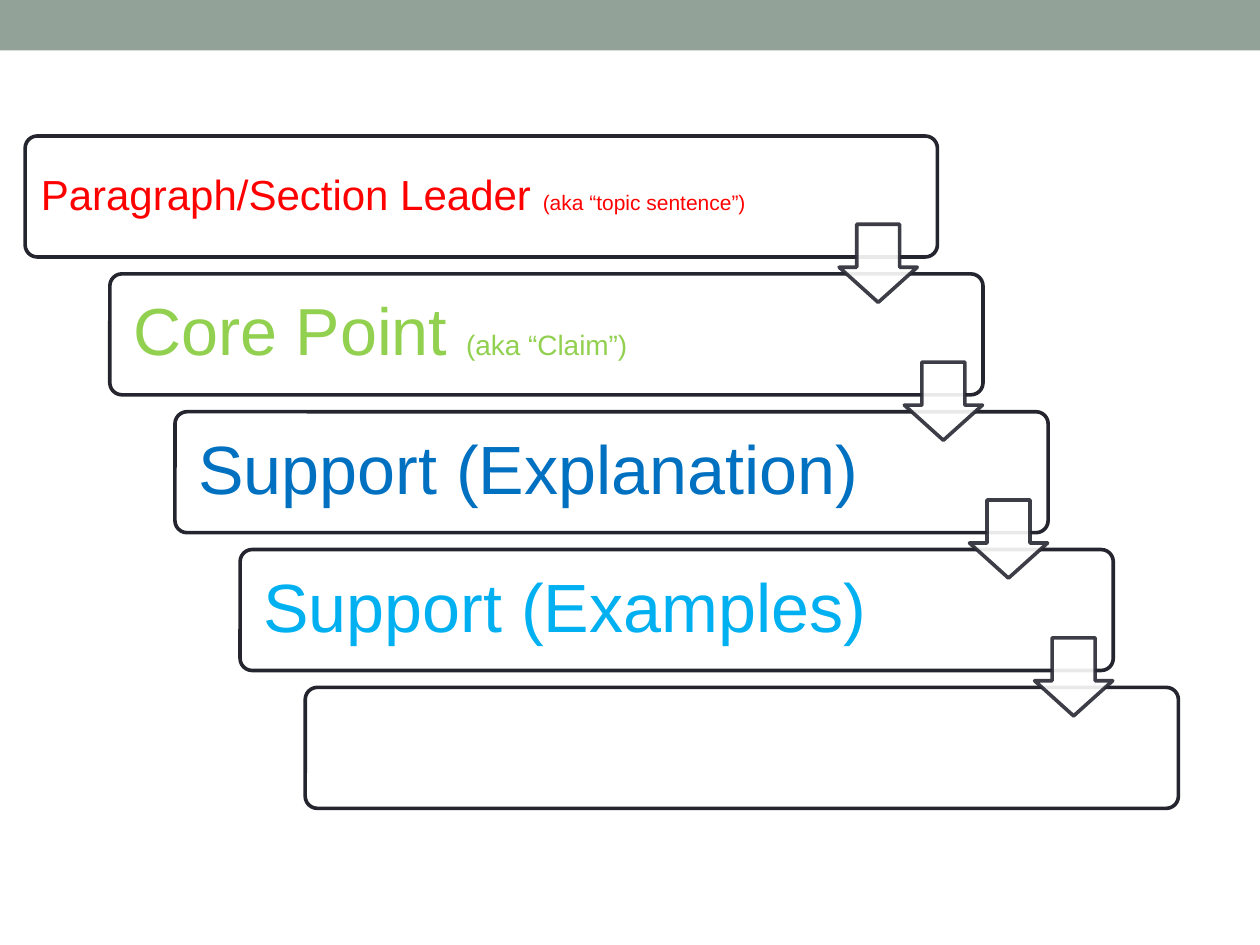
import pptx
import pptx.dml.color
import pptx.enum.shapes
import pptx.enum.text
import pptx.oxml
import pptx.util
from lxml import etree

COLORS = {
    "band": "93A299",
    "white": "FFFFFF",
    "outline": "25252F",
    "arrow": "292934",
    "leader": "FF0000",
    "core": "92D050",
    "explanation": "0070C0",
    "examples": "00B0F0",
}
COLUMNS, ROWS = 100, 75
STEP_X, STEP_Y = 5.17, 10.94
FIRST_TOP = 10.8
BOX_HEIGHT = 9.6
ARROW_SIZE = 6.2
SHAPES = pptx.enum.shapes.MSO_SHAPE

STEPS = [
    ("leader", 1, [("Paragraph/Section Leader ", 24), ("(aka “topic sentence”)", 12)]),
    ("core", 1.6, [("Core Point ", 38), ("(aka “Claim”)", 16)]),
    ("explanation", 1.6, [("Support (Explanation)", 39)]),
    ("examples", 1.6, [("Support (Examples)", 39)]),
    (None, 0, []),
]


class Deck:
    font = "Arial"
    line_width = pptx.util.Pt(2.08)

    def __init__(self):
        self.presentation = pptx.Presentation()
        self.presentation.slide_width = pptx.util.Inches(10)
        self.presentation.slide_height = pptx.util.Inches(7.5)
        self.slide = self.presentation.slides.add_slide(self.presentation.slide_layouts[6])

    def x(self, columns):
        return round(self.presentation.slide_width * columns / COLUMNS)

    def y(self, rows):
        return round(self.presentation.slide_height * rows / ROWS)

    def place(self, left, top, width, height):
        return self.x(left), self.y(top), self.x(width), self.y(height)

    def color(self, name):
        return pptx.dml.color.RGBColor.from_string(COLORS[name])

    def shape(self, kind, area, fill, line=None, adjustments=()):
        shape = self.slide.shapes.add_shape(kind, *self.place(*area))
        shape.shadow.inherit = False
        shape.fill.solid()
        shape.fill.fore_color.rgb = self.color(fill)
        if line:
            shape.line.color.rgb = self.color(line)
            shape.line.width = self.line_width
        else:
            shape.line.fill.background()
        for index, value in enumerate(adjustments):
            shape.adjustments[index] = value
        return shape

    def box(self, area):
        return self.shape(SHAPES.ROUNDED_RECTANGLE, area, "white", "outline", [0.1])

    def arrow(self, left, top):
        area = (left, top, ARROW_SIZE, ARROW_SIZE)
        shape = self.shape(SHAPES.DOWN_ARROW, area, "white", "arrow", [0.55, 0.45])
        for color in shape.element.spPr.iter(pptx.oxml.ns.qn("a:srgbClr")):
            etree.SubElement(color, pptx.oxml.ns.qn("a:alpha"), val="90000")
        return shape

    def text(self, area, parts, color, inset):
        shape = self.slide.shapes.add_textbox(*self.place(*area))
        frame = shape.text_frame
        frame.word_wrap = True
        frame.vertical_anchor = pptx.enum.text.MSO_ANCHOR.MIDDLE
        frame.margin_left = frame.margin_right = self.x(inset)
        frame.margin_top = frame.margin_bottom = self.y(inset)
        paragraph = frame.paragraphs[0]
        paragraph.line_spacing = 0.9
        for words, size in parts:
            run = paragraph.add_run()
            run.text = words
            run.font.name = self.font
            run.font.size = pptx.util.Pt(size)
            run.font.color.rgb = self.color(color)
        return shape

    def save(self):
        self.presentation.save("out.pptx")


def main():
    deck = Deck()
    deck.shape(SHAPES.RECTANGLE, (0, 0, COLUMNS, 4), "band")
    for index, (color, inset, parts) in enumerate(STEPS):
        top = FIRST_TOP + index * STEP_Y
        left, width, text_width = 3.55 + index * STEP_X, 69.3, 57.3
        if index == 0:
            left, width, text_width = 2, 72.4, 60.5
        deck.box((left, top, width, BOX_HEIGHT))
        if parts:
            deck.text((left + 0.25, top + 0.3, text_width, 9), parts, color, inset)
    for index in range(len(STEPS) - 1):
        deck.arrow(66.6 + index * STEP_X, 17.8 + index * STEP_Y)
    deck.save()


if __name__ == "__main__":
    main()
